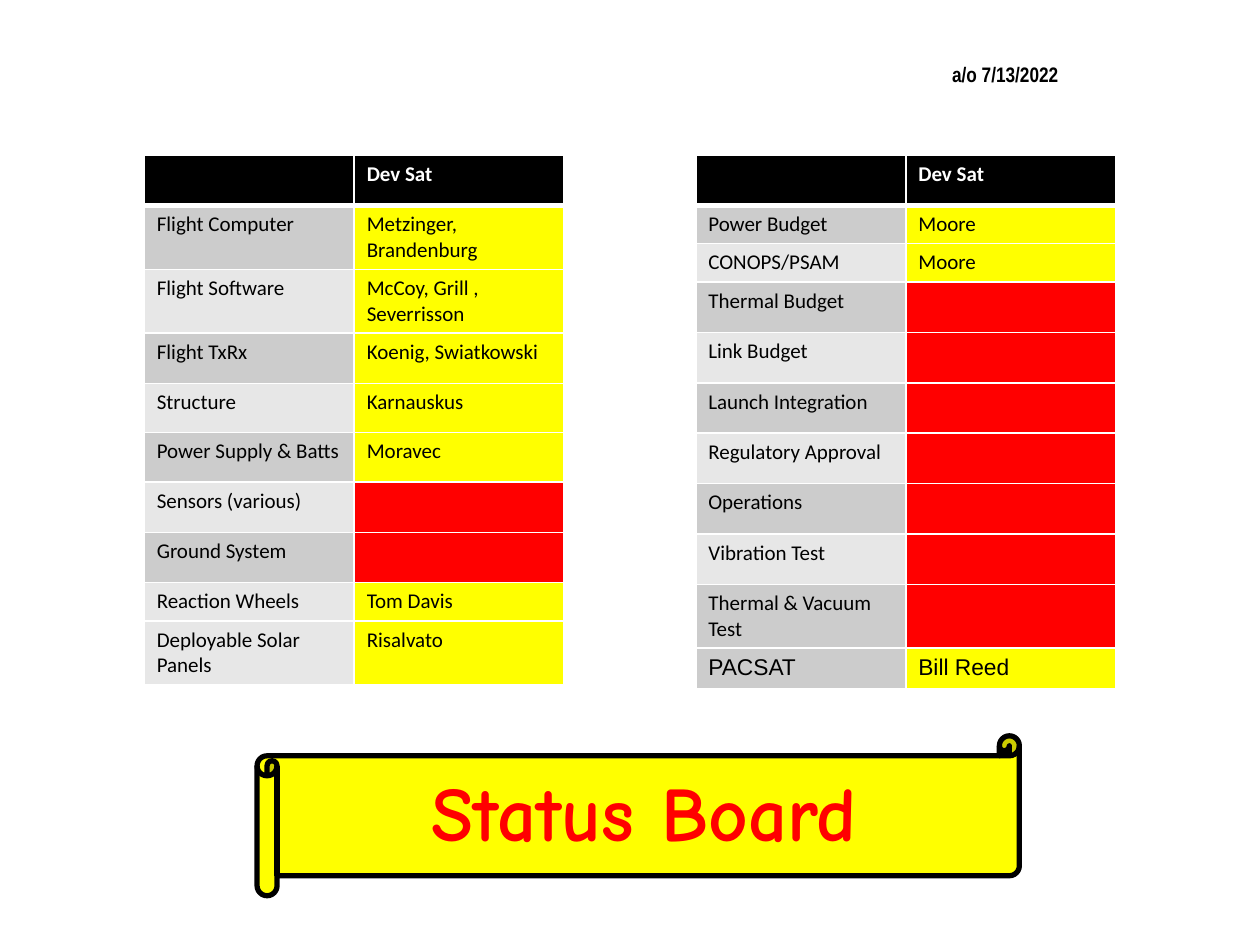
from lxml import etree
from pptx import Presentation
from pptx.dml.color import RGBColor
from pptx.enum.shapes import MSO_SHAPE
from pptx.enum.text import MSO_ANCHOR, PP_ALIGN
from pptx.oxml.ns import qn
from pptx.util import Pt

SCROLL = MSO_SHAPE.HORIZONTAL_SCROLL
TOP = MSO_ANCHOR.TOP
LEFT, CENTER = PP_ALIGN.LEFT, PP_ALIGN.CENTER
TITLE_ONLY = 5

COLORS = {
    "black": "000000",
    "white": "FFFFFF",
    "dark_band": "CCCCCC",
    "light_band": "E7E7E7",
    "staffed": "FFFF00",
    "open": "FF0000",
}
HEADER_HEIGHT = 28.8
THIN, THICK = 0.96, 3
SHORT, NORMAL, TALL = 21.6, 28.8, 36

HARDWARE = [
    ("Flight Computer", "Metzinger, Brandenburg", TALL),
    ("Flight Software", "McCoy, Grill , Severrisson", TALL),
    ("Flight TxRx", "Koenig, Swiatkowski", NORMAL),
    ("Structure", "Karnauskus", 28.1),
    ("Power Supply & Batts", "Moravec", 28.1),
    ("Sensors (various)", "", NORMAL),
    ("Ground System", "", NORMAL),
    ("Reaction Wheels", "Tom Davis", SHORT),
    ("Deployable Solar Panels", "Risalvato", TALL),
]
MISSION = [
    ("Power Budget", "Moore", SHORT),
    ("CONOPS/PSAM", "Moore", SHORT),
    ("Thermal Budget", "", NORMAL),
    ("Link Budget", "", NORMAL),
    ("Launch Integration", "", NORMAL),
    ("Regulatory Approval", "", NORMAL),
    ("Operations", "", NORMAL),
    ("Vibration Test", "", NORMAL),
    ("Thermal & Vacuum Test", "", TALL),
    ("PACSAT", "Bill Reed", 23),
]


def rgb(name):
    """Return the palette colour with the given name."""
    return RGBColor.from_string(COLORS[name])


def write(frame, text, size=12, font="Calibri", color="black", bold=False, align=LEFT):
    """Write one formatted paragraph into a text frame."""
    paragraph = frame.paragraphs[0]
    paragraph.alignment = align
    run = paragraph.add_run()
    run.text = text
    run.font.size = Pt(size)
    run.font.name = font
    run.font.bold = bold
    run.font.color.rgb = rgb(color)


def style_cell(cell, fill, top=THIN, bottom=THIN):
    """Give a cell white borders and a solid fill."""
    properties = cell._tc.get_or_add_tcPr()
    widths = {"a:lnL": THIN, "a:lnR": THIN, "a:lnT": top, "a:lnB": bottom}
    for edge, width in widths.items():
        border = etree.SubElement(properties, qn(edge), w=str(Pt(width)))
        paint = etree.SubElement(border, qn("a:solidFill"))
        etree.SubElement(paint, qn("a:srgbClr"), val=COLORS["white"])
    cell.fill.solid()
    cell.fill.fore_color.rgb = rgb(fill)


def add_status_table(slide, left, top, width, tasks, last_text=None):
    """Add a table of tasks and owners, red where a task has no owner."""
    height = HEADER_HEIGHT + sum(task[2] for task in tasks)
    table = slide.shapes.add_table(
        len(tasks) + 1, 2, Pt(left), Pt(top), Pt(width), Pt(height)
    ).table
    for column in table.columns:
        column.width = Pt(width / 2)

    table.rows[0].height = Pt(HEADER_HEIGHT)
    for cell, heading in zip(table.rows[0].cells, ("", "Dev Sat")):
        style_cell(cell, "black", bottom=THICK)
        write(cell.text_frame, heading, color="white", bold=True)

    last = len(tasks) - 1
    for index, (task, owner, row_height) in enumerate(tasks):
        row = table.rows[index + 1]
        row.height = Pt(row_height)
        band = ("dark_band", "light_band")[min(index, last - 1) % 2]
        status = "staffed" if owner else "open"
        text_format = last_text if last_text and index == last else {}
        for cell, text, fill in zip(row.cells, (task, owner), (band, status)):
            style_cell(cell, fill, top=THIN if index else THICK)
            write(cell.text_frame, text, **text_format)


def add_title_banner(slide, left, top, width, height):
    """Add the scroll and set the slide title in front of it."""
    scroll = slide.shapes.add_shape(SCROLL, Pt(left), Pt(top), Pt(width), Pt(height))
    scroll.shadow.inherit = False
    scroll.fill.solid()
    scroll.fill.fore_color.rgb = rgb("staffed")
    scroll.line.color.rgb = rgb("black")
    scroll.line.width = Pt(3)

    title = slide.shapes.title
    overhang = 25
    title.left, title.top = Pt(left - overhang + 3.5), Pt(top + 13)
    title.width, title.height = Pt(width + 2 * overhang), Pt(60)
    title.text_frame.vertical_anchor = TOP
    write(title.text_frame, "Status Board", size=44, font="Comic Neue",
          color="open", bold=True, align=CENTER)
    scroll.element.addnext(title.element)


def add_date(slide, left, top, width, height):
    """Add the as-of date."""
    date = slide.shapes.add_textbox(Pt(left), Pt(top), Pt(width), Pt(height))
    date.text_frame.word_wrap = True
    write(date.text_frame, "a/o 7/13/2022", font="Arial Narrow", bold=True)


def main():
    """Build and save the status board."""
    deck = Presentation()
    deck.slide_width, deck.slide_height = Pt(720), Pt(540)
    slide = deck.slides.add_slide(deck.slide_layouts[TITLE_ONLY])
    add_status_table(slide, 82.4, 88.6, 240, HARDWARE)
    add_status_table(slide, 397.6, 88.6, 240, MISSION, {"size": 13, "font": "Arial"})
    add_title_banner(slide, 146.9, 420.5, 435.6, 91.4)
    add_date(slide, 537, 31.7, 90.7, 21.6)
    deck.save("out.pptx")


if __name__ == "__main__":
    main()
